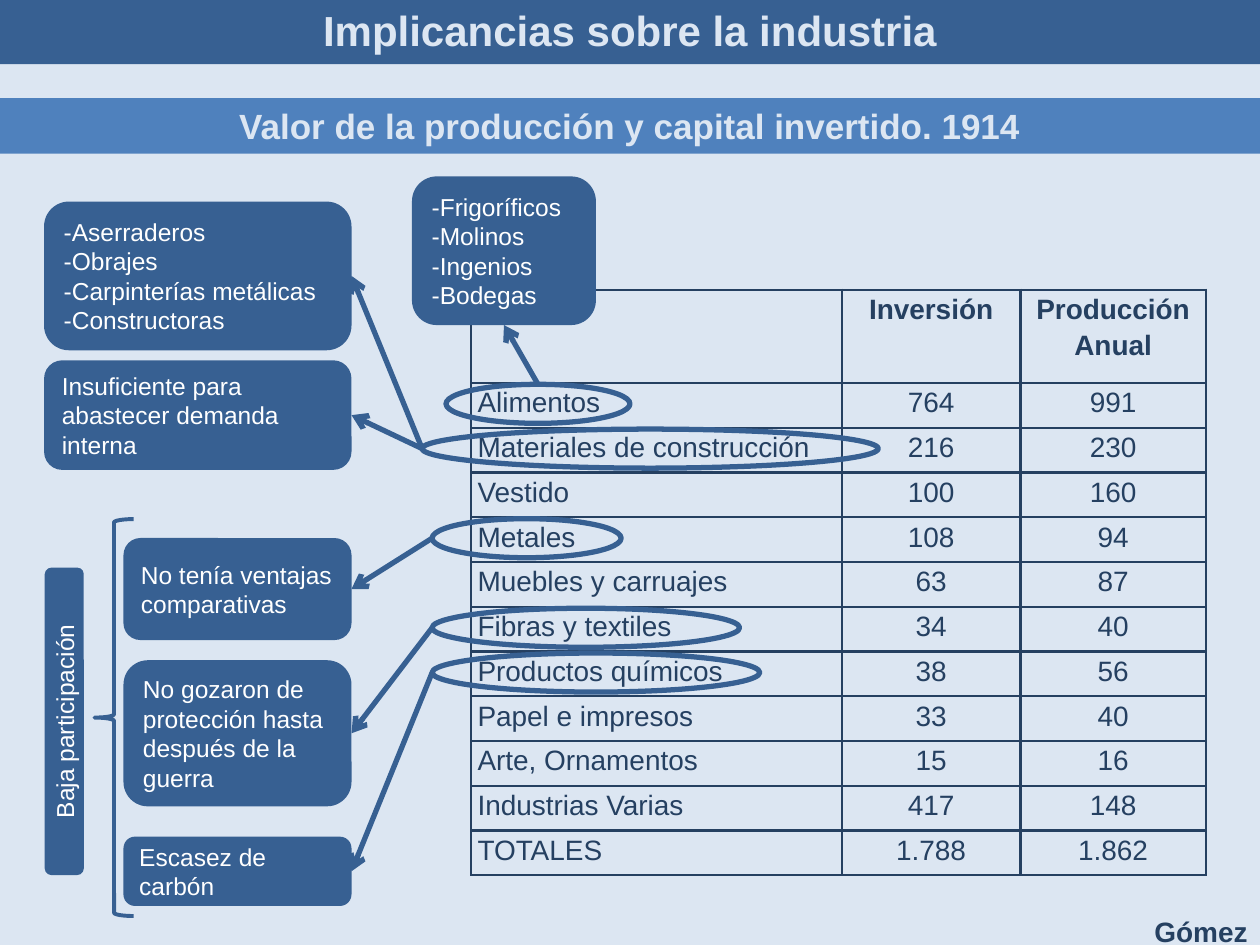
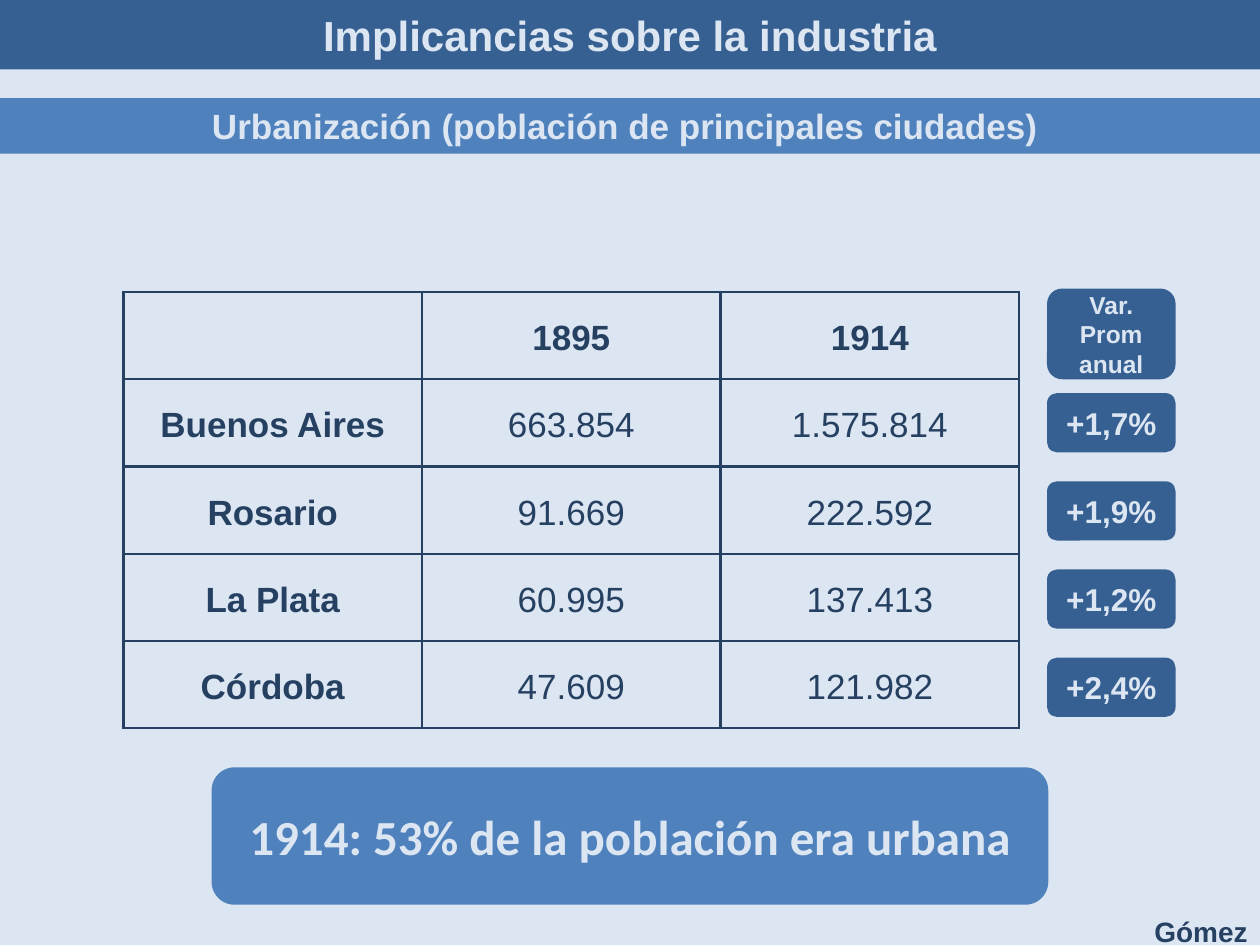
from typing import NamedTuple

from lxml.etree import SubElement
from pptx import Presentation
from pptx.dml.color import RGBColor
from pptx.enum.shapes import MSO_CONNECTOR as Connector, MSO_SHAPE as Shape
from pptx.enum.text import MSO_ANCHOR as Anchor, MSO_AUTO_SIZE as AutoSize, PP_ALIGN as Align
from pptx.oxml import parse_xml
from pptx.oxml.ns import nsdecls, qn
from pptx.util import Inches, Pt

PALE, BLUE, DARK, NAVY, WHITE = "DCE6F2", "4F81BD", "376092", "254061", "FFFFFF"
SLIDE_WIDTH = 10
TITLE = "Implicancias sobre la industria"

TITLE_FORMAT = dict(size=24, color=PALE, bold=True)
SUBTITLE_FORMAT = dict(size=20, color=PALE, bold=True)
NOTE_FORMAT = dict(size=14, color=WHITE)
FOOTER_FORMAT = dict(size=16, color=NAVY, bold=True)
VARIATION_FORMAT = dict(size=18, color=PALE, bold=True)


class Area(NamedTuple):
    left: float
    top: float
    width: float
    height: float

    @property
    def right(self) -> float:
        return self.left + self.width

    @property
    def middle(self) -> float:
        return self.top + self.height / 2


class Note(NamedTuple):
    area: Area
    lines: list[str]


class Ring(NamedTuple):
    row: int
    left: float
    width: float
    notes: list[Note]


class Grid(NamedTuple):
    area: Area
    columns: list[float]
    header_height: float
    rows: list[list[str]]
    size: float
    margin: float
    space_after: float
    anchor: Anchor
    label_align: Align
    bold_labels: bool

    @property
    def row_height(self) -> float:
        return (self.area.height - self.header_height) / (len(self.rows) - 1)


INDUSTRIES = Grid(
    Area(3.74, 2.3, 5.83, 4.65), [2.94, 1.42, 1.47], 0.74,
    [
        ["", "Inversión", "Producción\nAnual"],
        ["Alimentos", "764", "991"],
        ["Materiales de construcción", "216", "230"],
        ["Vestido", "100", "160"],
        ["Metales", "108", "94"],
        ["Muebles y carruajes", "63", "87"],
        ["Fibras y textiles", "34", "40"],
        ["Productos químicos", "38", "56"],
        ["Papel e impresos", "33", "40"],
        ["Arte, Ornamentos", "15", "16"],
        ["Industrias Varias", "417", "148"],
        ["TOTALES", "1.788", "1.862"],
    ],
    16, 0.05, 0, Anchor.TOP, Align.LEFT, False,
)

CITIES = Grid(
    Area(0.98, 2.32, 7.1, 3.46), [2.37] * 3, 0.69,
    [
        ["", "1895", "1914"],
        ["Buenos Aires", "663.854", "1.575.814"],
        ["Rosario", "91.669", "222.592"],
        ["La Plata", "60.995", "137.413"],
        ["Córdoba", "47.609", "121.982"],
    ],
    20, 0.07, 6, Anchor.MIDDLE, Align.CENTER, True,
)

FOOD = Note(Area(3.27, 1.4, 1.46, 1.18), ["-Frigoríficos", "-Molinos", "-Ingenios", "-Bodegas"])
BUILDING = Note(
    Area(0.35, 1.6, 2.44, 1.18),
    ["-Aserraderos", "-Obrajes", "-Carpinterías metálicas", "-Constructoras"],
)
SHORTAGE = Note(Area(0.35, 2.86, 2.44, 0.87), ["Insuficiente para abastecer demanda interna"])
METALS = Note(Area(0.98, 4.27, 1.81, 0.81), ["No tenía ventajas comparativas"])
TEXTILES = Note(
    Area(0.98, 5.24, 1.81, 1.16), ["No gozaron de protección hasta después de la guerra"]
)
CHEMICALS = Note(Area(0.98, 6.64, 1.81, 0.55), ["Escasez de carbón"])

FOOD_RING = Ring(1, 3.54, 1.46, [])
RINGS = [
    FOOD_RING,
    Ring(2, 3.35, 3.62, [BUILDING, SHORTAGE]),
    Ring(4, 3.43, 1.5, [METALS]),
    Ring(6, 3.43, 2.44, [TEXTILES]),
    Ring(7, 3.43, 2.6, [CHEMICALS]),
]
VARIATIONS = ["+1,7%", "+1,9%", "+1,2%", "+2,4%"]


def rgb(color: str) -> RGBColor:
    return RGBColor.from_string(color)


def emu(area: Area) -> list[int]:
    return [Inches(length) for length in area]


def write(frame, lines: list[str], style: dict, align=Align.LEFT, **paragraph_style) -> None:
    values = dict(name=style.get("name", "Arial"), size=Pt(style["size"]),
                  bold=style.get("bold", False))
    for index, line in enumerate(lines):
        para = frame.paragraphs[0] if index == 0 else frame.add_paragraph()
        for key, value in dict(paragraph_style, alignment=align).items():
            setattr(para, key, value)
        span = para.add_run()
        span.text = line
        for key, value in values.items():
            setattr(span.font, key, value)
        span.font.color.rgb = rgb(style["color"])


def add_box(page, area: Area, fill: str, lines: list[str], style: dict,
            align=Align.CENTER, kind=Shape.ROUNDED_RECTANGLE):
    box = page.shapes.add_shape(kind, *emu(area))
    box.shadow.inherit = False
    box.fill.solid()
    box.fill.fore_color.rgb = rgb(fill)
    box.line.fill.background()
    box.text_frame.word_wrap = True
    box.text_frame.vertical_anchor = Anchor.MIDDLE
    write(box.text_frame, lines, style, align)
    return box


def add_outline(page, kind: Shape, area: Area, width: float) -> None:
    outline = page.shapes.add_shape(kind, *emu(area))
    outline.shadow.inherit = False
    outline.fill.background()
    outline.line.color.rgb = rgb(DARK)
    outline.line.width = Pt(width)


def add_arrow(page, start: tuple[float, float], end: tuple[float, float]) -> None:
    points = [Inches(length) for length in (*start, *end)]
    arrow = page.shapes.add_connector(Connector.STRAIGHT, *points)
    arrow.line.color.rgb = rgb(DARK)
    arrow.line.width = Pt(3)
    SubElement(arrow.line._get_or_add_ln(), qn("a:tailEnd"), type="arrow")
    SubElement(arrow._element.spPr, qn("a:effectLst"))


def add_borders(cell) -> None:
    properties = cell._tc.get_or_add_tcPr()
    for index, side in enumerate(("lnL", "lnR", "lnT", "lnB")):
        properties.insert(index, parse_xml(
            f'<a:{side} {nsdecls("a")} w="{Pt(1.5)}"><a:solidFill>'
            f'<a:srgbClr val="{NAVY}"/></a:solidFill></a:{side}>'))


def add_grid(page, grid: Grid) -> None:
    table = page.shapes.add_table(len(grid.rows), len(grid.columns), *emu(grid.area)).table
    table.first_row = table.horz_banding = False
    for column, width in zip(table.columns, grid.columns):
        column.width = Inches(width)
    for row_index, texts in enumerate(grid.rows):
        height = grid.row_height if row_index else grid.header_height
        table.rows[row_index].height = Inches(height)
        for column_index, text in enumerate(texts):
            cell = table.cell(row_index, column_index)
            cell.fill.background()
            add_borders(cell)
            cell_format = dict(margin_left=Inches(grid.margin), margin_right=Inches(grid.margin),
                               margin_top=0, margin_bottom=0, vertical_anchor=grid.anchor)
            for key, value in cell_format.items():
                setattr(cell, key, value)
            if text:
                bold = row_index == 0 or (column_index == 0 and grid.bold_labels)
                align = Align.CENTER if column_index else grid.label_align
                write(cell.text_frame, text.split("\n"),
                      dict(size=grid.size, color=NAVY, bold=bold), align,
                      line_spacing=1.15, space_after=Pt(grid.space_after))


def add_page(deck, subtitle: str, title_top: float):
    page = deck.slides.add_slide(deck.slide_layouts[5])
    page.background.fill.solid()
    page.background.fill.fore_color.rgb = rgb(PALE)
    title = page.shapes.title
    title.left, title.top, title.width, title.height = emu(Area(0, title_top, SLIDE_WIDTH, 0.55))
    title.fill.solid()
    title.fill.fore_color.rgb = rgb(DARK)
    title.text_frame.auto_size = AutoSize.NONE
    title.text_frame.vertical_anchor = Anchor.MIDDLE
    write(title.text_frame, [TITLE], TITLE_FORMAT, Align.CENTER)
    add_box(page, Area(0, 0.78, SLIDE_WIDTH, 0.44), BLUE, [subtitle], SUBTITLE_FORMAT,
            kind=Shape.RECTANGLE)
    footer = page.shapes.add_textbox(*emu(Area(9.05, 7.21, 0.95, 0.37)))
    footer.text_frame.word_wrap = False
    write(footer.text_frame, ["Gómez"], FOOTER_FORMAT, Align.RIGHT)
    return page


def add_note(page, note: Note) -> None:
    add_box(page, note.area, DARK, note.lines, NOTE_FORMAT, Align.LEFT)


def build_industry_page(deck) -> None:
    page = add_page(deck, "Valor de la producción y capital invertido. 1914", -0.04)
    add_grid(page, INDUSTRIES)
    add_note(page, FOOD)
    first_row_top = INDUSTRIES.area.top + INDUSTRIES.header_height
    for ring in RINGS:
        top = first_row_top + (ring.row - 1) * INDUSTRIES.row_height + 0.01
        area = Area(ring.left, top, ring.width, 0.31)
        add_outline(page, Shape.OVAL, area, 3)
        for note in ring.notes:
            add_note(page, note)
            add_arrow(page, (area.left, area.middle), (note.area.right, note.area.middle))
    add_arrow(page, (FOOD_RING.left + FOOD_RING.width / 2, first_row_top + 0.01),
              (FOOD.area.left + FOOD.area.width / 2, FOOD.area.top + FOOD.area.height))
    add_outline(page, Shape.LEFT_BRACE, Area(0.75, 4.12, 0.31, 3.15), 2.25)
    share = add_box(page, Area(-0.71, 5.57, 2.44, 0.31), DARK, ["Baja participación"], NOTE_FORMAT)
    share.rotation = 270


def build_city_page(deck) -> None:
    page = add_page(deck, "Urbanización (población de principales ciudades) ", 0)
    add_grid(page, CITIES)
    add_box(page, Area(8.31, 2.29, 1.02, 0.72), DARK, ["Var. Prom anual"],
            dict(VARIATION_FORMAT, size=14))
    for index, variation in enumerate(VARIATIONS):
        add_box(page, Area(8.31, 3.12 + index * 0.7, 1.02, 0.47), DARK, [variation],
                VARIATION_FORMAT)
    add_box(page, Area(1.68, 6.09, 6.64, 1.09), BLUE, ["1914: 53% de la población era urbana"],
            dict(name="Calibri", size=28, color=PALE, bold=True))


def main() -> None:
    deck = Presentation()
    deck.slide_width, deck.slide_height = Inches(SLIDE_WIDTH), Inches(7.5)
    build_industry_page(deck)
    build_city_page(deck)
    deck.save("out.pptx")


if __name__ == "__main__":
    main()
